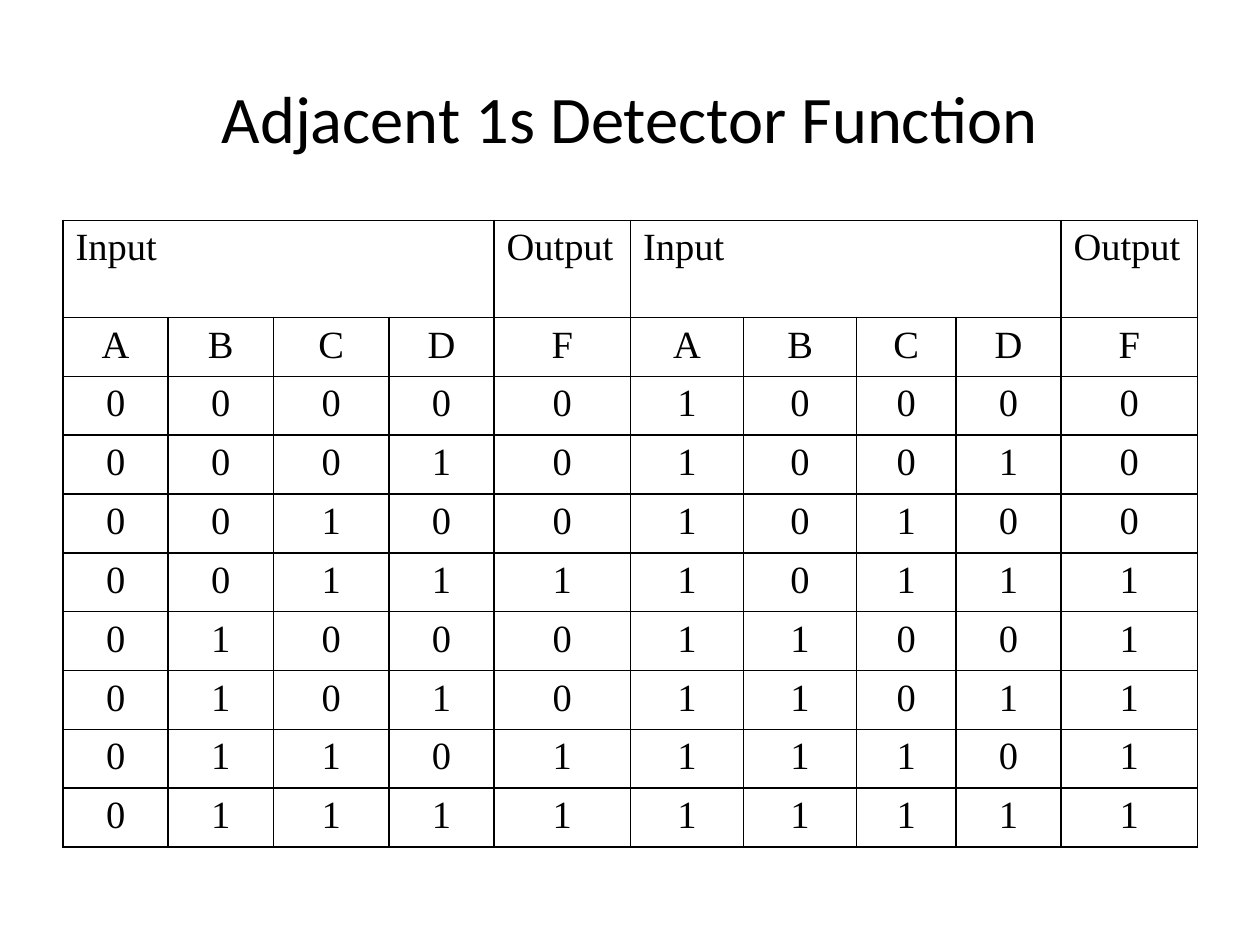
from dataclasses import dataclass

from lxml.etree import SubElement
from pptx import Presentation
from pptx.dml.color import RGBColor
from pptx.enum.text import MSO_ANCHOR as Anchor, PP_ALIGN as Align
from pptx.oxml.ns import qn
from pptx.util import Cm, Pt

COLORS = {"ink": "000000", "border": "000000"}
INPUTS = "ABCD"
HEADER_HEIGHT, ROW_HEIGHT = 1.96, 1.18
HANGING = 0.97


@dataclass(frozen=True)
class TextStyle:
    font: str
    size: float
    align: Align


@dataclass(frozen=True)
class TruthHalf:
    first_value: int
    widths: tuple[float, ...]


TITLE = TextStyle("Calibri", 38, Align.CENTER)
HEADING = TextStyle("Times New Roman", 22, Align.JUSTIFY)
ENTRY = TextStyle("Times New Roman", 22, Align.CENTER)
HALVES = (
    TruthHalf(0, (2.12, 2.12, 2.33, 2.12, 2.75)),
    TruthHalf(8, (2.28, 2.28, 2.0, 2.12, 2.75)),
)


def write(paragraph, text: str, style: TextStyle) -> None:
    """Add one styled run to a paragraph."""
    paragraph.alignment = style.align
    run = paragraph.add_run()
    run.text = text
    run.font.name = style.font
    run.font.size = Pt(style.size)
    run.font.color.rgb = RGBColor.from_string(COLORS["ink"])


def add_title(slide, text: str) -> None:
    """Place the centred slide title."""
    box = slide.shapes.add_textbox(Cm(1.27), Cm(0.76), Cm(22.86), Cm(3.18))
    frame = box.text_frame
    frame.word_wrap = True
    frame.vertical_anchor = Anchor.MIDDLE
    write(frame.paragraphs[0], text, TITLE)


def outline(cell) -> None:
    """Give a cell four solid borders and no fill."""
    properties = cell._tc.get_or_add_tcPr()
    for side in ("a:lnL", "a:lnR", "a:lnT", "a:lnB"):
        line = SubElement(properties, qn(side), w=str(Pt(1)))
        fill = SubElement(line, qn("a:solidFill"))
        SubElement(fill, qn("a:srgbClr"), val=COLORS["border"])
    cell.fill.background()


def fill_cell(cell, text: str, style: TextStyle) -> None:
    """Write a cell's text with a hanging indent."""
    paragraph = cell.text_frame.paragraphs[0]
    write(paragraph, text, style)
    indents = paragraph._p.get_or_add_pPr()
    indents.set("marL", str(Cm(HANGING)))
    indents.set("indent", str(-Cm(HANGING)))


def truth_row(value: int) -> str:
    """Return the input bits followed by the adjacent-ones output."""
    return f"{value:04b}{int(value & (value >> 1) > 0)}"


def fill_half(table, half: TruthHalf, start: int) -> None:
    """Fill one side of the truth table from its starting column."""
    output = start + len(INPUTS)
    table.cell(0, start).merge(table.cell(0, output - 1))
    fill_cell(table.cell(0, start), "Input", HEADING)
    fill_cell(table.cell(0, output), "Output", HEADING)
    values = range(half.first_value, half.first_value + 8)
    rows = [INPUTS + "F", *map(truth_row, values)]
    for row, entries in enumerate(rows, start=1):
        for column, entry in enumerate(entries, start=start):
            fill_cell(table.cell(row, column), entry, ENTRY)


def add_truth_table(slide) -> None:
    """Build the two-sided truth table."""
    widths = [width for half in HALVES for width in half.widths]
    heights = [HEADER_HEIGHT] + [ROW_HEIGHT] * 9
    table = slide.shapes.add_table(
        len(heights), len(widths), Cm(1.27), Cm(4.44), Cm(sum(widths)), Cm(sum(heights))
    ).table
    table.first_row = False
    table.horz_banding = False
    for column, width in zip(table.columns, widths):
        column.width = Cm(width)
    for row, height in zip(table.rows, heights):
        row.height = Cm(height)
    for cell in table.iter_cells():
        outline(cell)
    for index, half in enumerate(HALVES):
        fill_half(table, half, index * len(half.widths))


def main() -> None:
    """Create the slide and save it."""
    deck = Presentation()
    deck.slide_width, deck.slide_height = Cm(25.4), Cm(19.05)
    slide = deck.slides.add_slide(deck.slide_layouts[6])
    add_title(slide, "Adjacent 1s Detector Function")
    add_truth_table(slide)
    deck.save("out.pptx")


if __name__ == "__main__":
    main()
